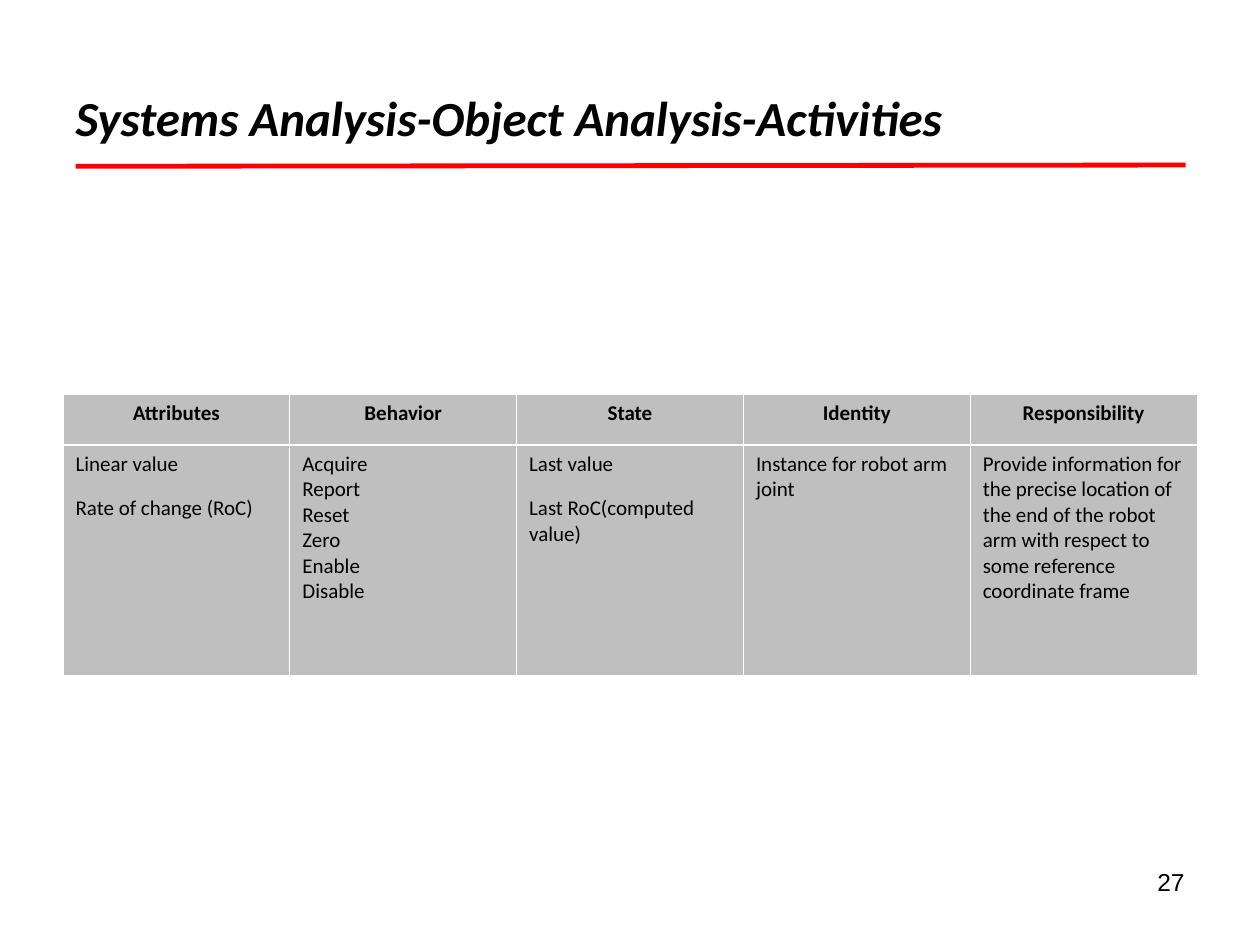
"""Build the object analysis slide with its table of activities."""
import pptx
import pptx.util
import pptx.dml.color
import pptx.enum.shapes
import pptx.enum.text
import pptx.oxml.ns
from lxml import etree

Inches, Pt = pptx.util.Inches, pptx.util.Pt
RGB = pptx.dml.color.RGBColor.from_string
Align = pptx.enum.text.PP_ALIGN
Anchor = pptx.enum.text.MSO_ANCHOR
qn = pptx.oxml.ns.qn

theme = {
    "ink": "000000", "rule": "FF0000", "cell": "BFBFBF", "edge": "FFFFFF",
    "title": {"name": "Calibri", "size": Pt(28), "bold": True, "italic": True},
    "head": {"name": "Calibri", "size": Pt(12), "bold": True},
    "body": {"name": "Calibri", "size": Pt(12), "bold": False},
    "page": {"name": "Arial", "size": Pt(14)},
    "rule width": Pt(2.75), "thin": Pt(0.45), "thick": Pt(1.47), "gap": Pt(11),
}


def write(frame, lines, style, align=Align.LEFT, gap=Pt(0)):
    for i, line in enumerate(lines):
        para = frame.paragraphs[0] if i == 0 else frame.add_paragraph()
        para.text = line
        para.alignment = align
        para.space_before = gap if i else Pt(0)
        for key, value in theme[style].items():
            setattr(para.runs[0].font, key, value)
        para.runs[0].font.color.rgb = RGB(theme["ink"])


def border(cell, side, width):
    line = etree.SubElement(cell._tc.get_or_add_tcPr(), qn(f"a:ln{side}"), w=str(int(width)))
    fill = etree.SubElement(line, qn("a:solidFill"))
    etree.SubElement(fill, qn("a:srgbClr"), val=theme["edge"])


deck = pptx.Presentation()
deck.slide_width, deck.slide_height = Inches(10), Inches(7.5)
slide = deck.slides.add_slide(deck.slide_layouts[5])
shapes = slide.shapes

title = shapes.title
place = {"left": Inches(0.5), "top": Inches(0.3), "width": Inches(9), "height": Inches(1.25)}
for key, value in place.items():
    setattr(title, key, value)
title.text_frame.vertical_anchor = Anchor.MIDDLE
write(title.text_frame, ["Systems Analysis-Object Analysis-Activities"], "title")

rule = shapes.add_connector(pptx.enum.shapes.MSO_CONNECTOR.STRAIGHT,
                            Inches(0.6), Inches(1.32), Inches(9.41), Inches(1.31))
rule.line.color.rgb = RGB(theme["rule"])
rule.line.width = theme["rule width"]
etree.SubElement(rule._element.spPr, qn("a:effectLst"))

columns = [
    ("Attributes", ["Linear value", "Rate of change (RoC)"], theme["gap"]),
    ("Behavior", ["Acquire", "Report", "Reset", "Zero", "Enable", "Disable"], Pt(0)),
    ("State", ["Last value", "Last RoC(computed value)"], theme["gap"]),
    ("Identity", ["Instance for robot arm joint"], Pt(0)),
    ("Responsibility", ["Provide information for the precise location of the end of the "
                        "robot arm with respect to some reference coordinate frame"], Pt(0)),
]
table = shapes.add_table(2, len(columns), Inches(0.5), Inches(3.13), Inches(9), Inches(2.23)).table
for row, height in zip(table.rows, (0.4, 1.83)):
    row.height = Inches(height)
for col, (head, lines, gap) in enumerate(columns):
    table.columns[col].width = Inches(1.8)
    top, base = table.cell(0, col), table.cell(1, col)
    write(top.text_frame, [head], "head", Align.CENTER)
    write(base.text_frame, lines, "body", gap=gap)
    for cell, thick in ((top, "B"), (base, "T")):
        for side in "LRTB":
            border(cell, side, theme["thick" if side == thick else "thin"])
        cell.fill.solid()
        cell.fill.fore_color.rgb = RGB(theme["cell"])

page = shapes.add_textbox(Inches(7.17), Inches(6.83), Inches(2.33), Inches(0.52))
page.text_frame.word_wrap = True
write(page.text_frame, ["27"], "page", Align.RIGHT)

deck.save("out.pptx")
